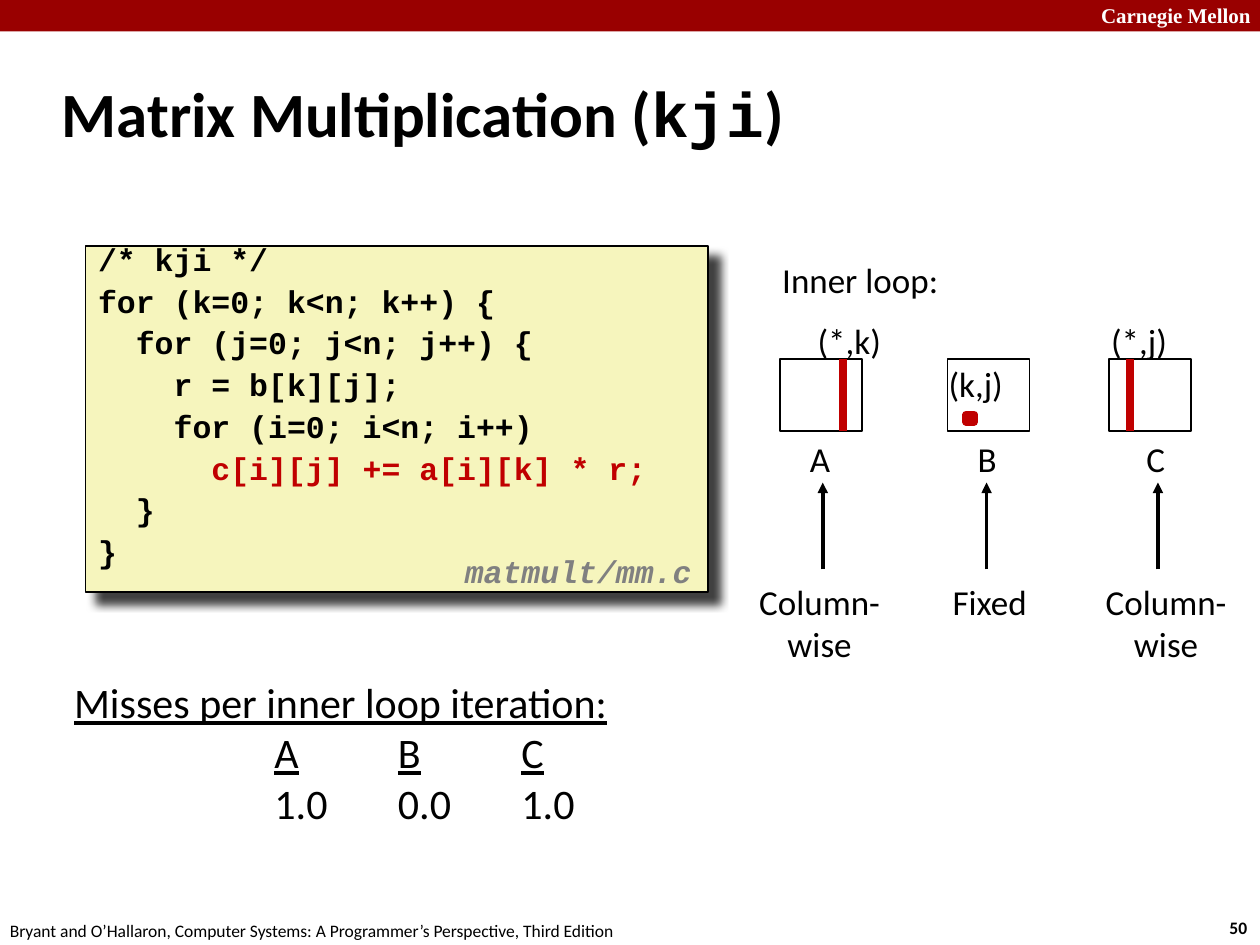
from lxml.etree import SubElement
from pptx import Presentation
from pptx.dml.color import RGBColor
from pptx.enum.shapes import MSO_CONNECTOR, MSO_SHAPE
from pptx.enum.text import MSO_ANCHOR, PP_ALIGN
from pptx.oxml.ns import qn
from pptx.util import Inches, Pt

BLACK, WHITE, RED, GRAY = "000000", "FFFFFF", "C00000", "808080"
BANNER, CODE_FILL = "990000", "F6F5BD"
SANS, MONO, SERIF = "Calibri", "Courier New", "Times New Roman"
SLIDE_W, SLIDE_H = 10, 7.5

# Rows of the access-pattern diagram, in inches from the top
ROW_HEADING, ROW_INDEX, ROW_BOX, ROW_NAME = 2, 2.49, 2.85, 3.42
ROW_ARROW_TIP, ROW_ARROW_END, ROW_PATTERN = 3.83, 4.52, 4.56
BOX_W, BOX_H, LABEL_H = 0.65, 0.57, 0.43

# Columns: box left, name (left, width, text), index (left, top, width, text),
# arrow centre, pattern (left, width, text), centre of the column bar
MATRICES = [
    (6.19, (6.33, 0.37, "A"), (6.39, ROW_INDEX, 0.71, "(*,k)"),
     6.53, (5.92, 1.17, "Column-\nwise"), 6.69),
    (7.52, (7.66, 0.35, "B"), (7.43, 2.83, 0.63, "(k,j)"),
     7.83, (7.46, 0.79, "Fixed"), None),
    (8.8, (9, 0.35, "C"), (8.72, ROW_INDEX, 0.65, "(*,j)"),
     9.19, (8.67, 1.17, "Column-\nwise"), 8.97),
]

CODE = """/* kji */
for (k=0; k<n; k++) {
  for (j=0; j<n; j++) {
    r = b[k][j];
    for (i=0; i<n; i++)
      c[i][j] += a[i][k] * r;
  }
}"""


def rgb(color):
    return RGBColor.from_string(color)


def style(font, size, name=SANS, color=BLACK, bold=False, italic=False):
    font.size, font.name = Pt(size), name
    font.bold, font.italic = bold, italic
    font.color.rgb = rgb(color)


def add_text(slide, x, y, w, h, text, size=20, align=PP_ALIGN.LEFT, wrap=False, **font):
    sp = slide.shapes.add_textbox(Inches(x), Inches(y), Inches(w), Inches(h))
    tf = sp.text_frame
    tf.word_wrap = wrap
    tf.text = text
    for p in tf.paragraphs:
        p.alignment = align
        for r in p.runs:
            style(r.font, size, **font)
    return tf


def add_rect(slide, x, y, w, h, fill, line=None, width=1):
    sp = slide.shapes.add_shape(
        MSO_SHAPE.RECTANGLE, Inches(x), Inches(y), Inches(w), Inches(h))
    sp.shadow.inherit = False
    sp.fill.solid()
    sp.fill.fore_color.rgb = rgb(fill)
    if line:
        sp.line.color.rgb = rgb(line)
        sp.line.width = Pt(width)
    else:
        sp.line.fill.background()
    return sp


def add_vertical(slide, x, start, end, color, width, arrow=False):
    line = slide.shapes.add_connector(
        MSO_CONNECTOR.STRAIGHT, Inches(x), Inches(start), Inches(x), Inches(end))
    line.line.color.rgb = rgb(color)
    line.line.width = Pt(width)
    if arrow:
        SubElement(line.line._get_or_add_ln(), qn("a:tailEnd"), type="triangle")
    SubElement(line._element.spPr, qn("a:effectLst"))


def add_shadow(sp, blur, distance, angle, opacity):
    effects = sp._element.spPr.find(qn("a:effectLst"))
    shadow = SubElement(
        effects, qn("a:outerShdw"), blurRad=str(Pt(blur)), dist=str(Pt(distance)),
        dir=str(angle * 60000), algn="tl", rotWithShape="0")
    color = SubElement(shadow, qn("a:srgbClr"), val=BLACK)
    SubElement(color, qn("a:alpha"), val=str(opacity * 1000))


def set_tabs(p, stops):
    tabs = SubElement(p._p.get_or_add_pPr(), qn("a:tabLst"))
    for stop in stops:
        SubElement(tabs, qn("a:tab"), pos=str(Inches(stop)), algn="l")


def add_frame(slide):
    """Banner and footer that surround the content."""
    add_rect(slide, 0, 0, SLIDE_W, 0.25, BANNER)
    add_text(slide, 8.64, -0.03, 1.43, 0.3, "Carnegie Mellon", 12,
             name=SERIF, color=WHITE, bold=True)
    add_text(slide, 9.66, 7.23, 0.37, 0.27, "50", 10, bold=True)
    add_text(slide, -0.02, 7.25, 5.08, 0.27,
             "Bryant and O’Hallaron, Computer Systems: "
             "A Programmer’s Perspective, Third Edition", 10)


def set_title(slide):
    title = slide.shapes.title
    title.left, title.top = Inches(0.39), Inches(0.48)
    title.width, title.height = Inches(8.3), Inches(0.83)
    tf = title.text_frame
    tf.vertical_anchor = MSO_ANCHOR.MIDDLE
    p = tf.paragraphs[0]
    p.alignment = PP_ALIGN.LEFT
    for text, name in (("Matrix Multiplication (", SANS), ("kji", MONO), (")", SANS)):
        r = p.add_run()
        r.text = text
        style(r.font, 36, name, bold=True)


def add_code(slide):
    sp = add_rect(slide, 0.68, 1.95, 4.94, 2.75, CODE_FILL, BLACK)
    add_shadow(sp, blur=5, distance=8.5, angle=45, opacity=75)
    tf = sp.text_frame
    tf.vertical_anchor = MSO_ANCHOR.TOP
    tf.text = CODE
    for i, p in enumerate(tf.paragraphs):
        p.alignment = PP_ALIGN.LEFT
        p.line_spacing = 0.65
        p.space_before = Pt(9.8 if i else 0)
        color = RED if "+=" in p.text else BLACK
        style(p.runs[0].font, 18, MONO, color, bold=True)
    add_text(slide, 3.59, 4.33, 2.08, 0.39, "matmult/mm.c", 18,
             name=MONO, color=GRAY, bold=True, italic=True)


def add_matrix(slide, box_x, name, index, arrow_x, pattern, bar_x):
    add_rect(slide, box_x, ROW_BOX, BOX_W, BOX_H, WHITE, BLACK)
    x, w, text = name
    add_text(slide, x, ROW_NAME, w, LABEL_H, text)
    x, y, w, text = index
    add_text(slide, x, y, w, LABEL_H, text)
    if bar_x:
        add_vertical(slide, bar_x, ROW_BOX + BOX_H, ROW_BOX, RED, 4.5)
    else:
        add_rect(slide, box_x + 0.15, 3.29, 0.06, 0.06, BLACK, RED, 4.5)
    add_vertical(slide, arrow_x, ROW_ARROW_END, ROW_ARROW_TIP, BLACK, 2, arrow=True)
    x, w, text = pattern
    height = 0.77 if "\n" in text else LABEL_H
    add_text(slide, x, ROW_PATTERN, w, height, text, align=PP_ALIGN.CENTER)


def add_misses(slide):
    tf = add_text(slide, 0.49, 5.32, 5.43, 1.34, "Misses per inner loop iteration:",
                  24, wrap=True)
    tf.paragraphs[0].runs[0].font.underline = True
    for values, underline in ((("A", "B", "C"), True), (("1.0", "0.0", "1.0"), False)):
        p = tf.add_paragraph()
        set_tabs(p, [1.59 + 0.98 * i for i in range(len(values))])
        for value in values:
            for text in ("\t", value):
                r = p.add_run()
                r.text = text
                style(r.font, 24)
                r.font.underline = underline and text == value


def main():
    prs = Presentation()
    prs.slide_width, prs.slide_height = Inches(SLIDE_W), Inches(SLIDE_H)
    slide = prs.slides.add_slide(prs.slide_layouts[5])
    add_frame(slide)
    set_title(slide)
    add_code(slide)
    add_text(slide, 6.11, ROW_HEADING, 1.45, LABEL_H, "Inner loop:")
    for matrix in MATRICES:
        add_matrix(slide, *matrix)
    add_misses(slide)
    prs.save("out.pptx")


if __name__ == "__main__":
    main()
